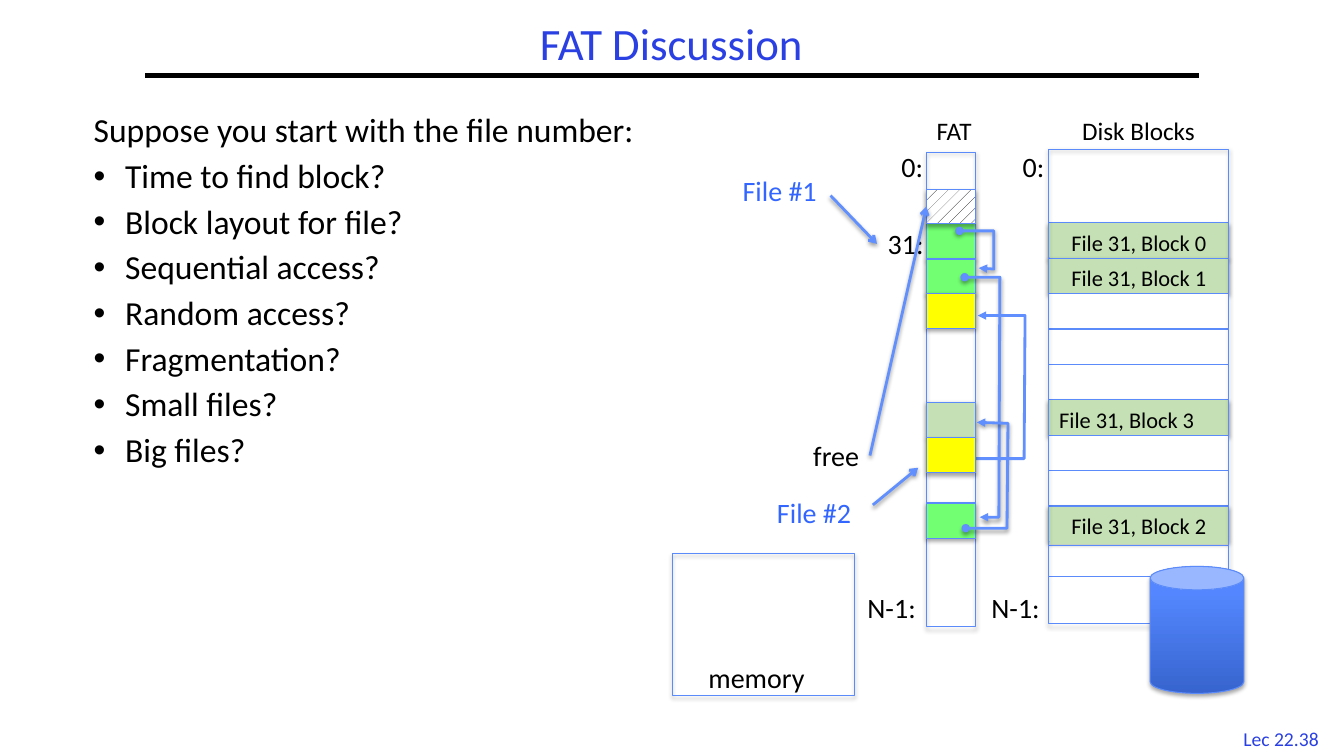
from dataclasses import dataclass
from typing import Optional

from lxml import etree
from pptx import Presentation
from pptx import util as u
from pptx.dml.color import RGBColor
from pptx.enum import dml, shapes, text
from pptx.oxml import ns

COLORS = {
    "black": "000000", "white": "FFFFFF", "title": "2A40E2", "file": "3366FF",
    "edge": "5B8AFB", "arrow": "618FFD", "block": "C5E0B4", "green": "72FF72",
    "yellow": "FFFF00", "can_dark": "3764CE", "can_light": "5487FF",
}
FONT = "Calibri"
MARGINS = {"margin_left": u.Pt(7.2), "margin_right": u.Pt(7.2),
           "margin_top": u.Pt(3.6), "margin_bottom": u.Pt(3.6)}
LEFT, CENTER = text.PP_ALIGN.LEFT, text.PP_ALIGN.CENTER
TOP, MIDDLE = text.MSO_ANCHOR.TOP, text.MSO_ANCHOR.MIDDLE
RECT = shapes.MSO_SHAPE.RECTANGLE

DISK_X, DISK_W = 748.8, 128.9
ROW_TOP, ROW_PITCH = 159.1, 25.3
FAT_X, FAT_W, CELL_H = 661.7, 35.3, 25.2


@dataclass
class Box:
    x: float
    y: float
    w: float
    h: float
    fill: Optional[str] = None
    edge: Optional[str] = "edge"
    shadow: bool = True


@dataclass
class Label:
    words: str
    x: float
    y: float
    w: float
    h: float
    size: float = 20
    color: str = "black"
    align: text.PP_ALIGN = CENTER
    wrap: bool = False
    anchor: text.MSO_ANCHOR = TOP


@dataclass
class Arrow:
    points: tuple
    head: Optional[str] = None
    tail: str = "triangle"
    shadow: bool = True


TITLE = Label("FAT Discussion", 103.7, 12.2, 751.7, 41.8, 32, "title", CENTER, True, MIDDLE)
QUESTIONS = [
    "Suppose you start with the file number:", "Time to find block?",
    "Block layout for file?", "Sequential access?", "Random access?",
    "Fragmentation?", "Small files?", "Big files?",
]
DISK_ROWS = ["File 31, Block 0", "File 31, Block 1", None, None, None,
             "File 31, Block 3", None, None, "File 31, Block 2"]
LABELS = [
    Label("Lec 22.38", 876.2, 515.5, 77.8, 23.8, 14, "title"),
    Label("Disk Blocks", 751.7, 78.5, 123.1, 28.8, 18),
    Label("FAT", 658.1, 78.5, 46.8, 28.8, 18),
    Label("0:", 635.8, 103, 31.7, 31.7),
    Label("0:", 721.4, 103, 33.8, 31.7),
    Label("N-1:", 610.6, 418.3, 52.6, 31.7),
    Label("N-1:", 698.4, 418.3, 54, 31.7),
    Label("31:", 625.7, 158.4, 42.5, 31.7),
    Label("memory", 496.8, 468, 87.1, 31.7),
    Label("free", 573.8, 309.6, 49, 31.7, align=LEFT),
    Label("File #1", 519.1, 120.2, 75.6, 31.7, color="file"),
    Label("File #2", 547.9, 350.6, 75.6, 31.7, color="file", align=LEFT),
]
FRAMES = [
    Box(DISK_X, 106.6, DISK_W, 339.1),
    Box(FAT_X, 108.7, FAT_W, 339.1),
    Box(480.2, 395.3, 130.3, 101.5),
]
CELLS = [(159.8, "green"), (185, "green"), (359.3, "green"), (287.3, "block")]
YELLOW_CELLS = [(312.5, "yellow"), (209.5, "yellow")]
POINTERS = [
    Arrow(((593.3, 139.7), (626.4, 174.2)), tail="arrow"),
    Arrow(((621.4, 325.4), (661.7, 147.6)), tail="arrow"),
    Arrow(((623.5, 360.7), (655.9, 334.1)), tail="arrow"),
]
CHAINS = [
    Arrow(((685.4, 164.9), (709.9, 164.9), (709.9, 192.2), (699.1, 191.5)), "oval"),
    Arrow(((689, 198), (714.2, 198), (713.5, 369.4), (699.8, 369.4)), "oval"),
    Arrow(((689.8, 377.3), (719.3, 377.3), (720, 302.4), (697.7, 301.7)), "oval"),
    Arrow(((688.3, 327.6), (731.5, 327.6), (732.2, 225.4), (698.4, 225.4)),
          "diamond", shadow=False),
]


def rgb(name: str) -> RGBColor:
    return RGBColor.from_string(COLORS[name])


def add_effects(shape, shadow: bool, opacity: int) -> None:
    """Give a shape or connector its soft shadow below, or none."""
    properties = shape._element.spPr
    effects = properties.find(ns.qn("a:effectLst"))
    if effects is None:
        effects = etree.SubElement(properties, ns.qn("a:effectLst"))
    if shadow:
        outer = etree.SubElement(effects, ns.qn("a:outerShdw"), blurRad=str(u.Pt(3.1)),
                                 dist=str(u.Pt(1.8)), dir="5400000", rotWithShape="0")
        color = etree.SubElement(outer, ns.qn("a:srgbClr"), val=COLORS["black"])
        etree.SubElement(color, ns.qn("a:alpha"), val=str(opacity * 1000))


def draw_box(slide, box: Box, preset=RECT):
    shape = slide.shapes.add_shape(preset, *map(u.Pt, (box.x, box.y, box.w, box.h)))
    if box.fill:
        shape.fill.solid()
        shape.fill.fore_color.rgb = rgb(box.fill)
    else:
        shape.fill.background()
    if box.edge:
        shape.line.color.rgb = rgb(box.edge)
        shape.line.width = u.Pt(0.75)
    else:
        shape.line.fill.background()
    shape.shadow.inherit = False
    add_effects(shape, box.shadow, 35)
    return shape


def write(shape, label: Label) -> None:
    frame = shape.text_frame
    layout = {**MARGINS, "word_wrap": label.wrap, "vertical_anchor": label.anchor}
    for key, value in layout.items():
        setattr(frame, key, value)
    for index, line in enumerate(label.words.split("\n")):
        paragraph = frame.add_paragraph() if index else frame.paragraphs[0]
        paragraph.alignment = label.align
        run = paragraph.add_run()
        run.text = line
        for key, value in {"name": FONT, "size": u.Pt(label.size)}.items():
            setattr(run.font, key, value)
        run.font.color.rgb = rgb(label.color)


def draw_label(slide, label: Label):
    shape = slide.shapes.add_textbox(*map(u.Pt, (label.x, label.y, label.w, label.h)))
    write(shape, label)
    return shape


def draw_arrow(slide, arrow: Arrow) -> None:
    """Draw two points as a connector, more as an open outline."""
    points = [(u.Pt(x), u.Pt(y)) for x, y in arrow.points]
    if len(points) == 2:
        shape = slide.shapes.add_connector(shapes.MSO_CONNECTOR.STRAIGHT, *points[0], *points[1])
    else:
        builder = slide.shapes.build_freeform(*points[0])
        builder.add_line_segments(points[1:], close=False)
        shape = builder.convert_to_shape()
        shape.fill.background()
    shape.line.color.rgb = rgb("arrow")
    shape.line.width = u.Pt(2)
    line = shape.line._get_or_add_ln()
    for tag, kind in (("a:headEnd", arrow.head), ("a:tailEnd", arrow.tail)):
        if kind:
            etree.SubElement(line, ns.qn(tag), type=kind)
    add_effects(shape, arrow.shadow, 38)


def draw_questions(slide) -> None:
    body = draw_label(slide, Label("\n".join(QUESTIONS), 59.8, 77.8, 429.8, 342.7,
                                   24, "black", LEFT, True))
    for index, paragraph in enumerate(body.text_frame.paragraphs):
        paragraph.line_spacing = 0.9
        if index:
            paragraph.space_before = u.Pt(6.7)
            properties = paragraph._p.get_or_add_pPr()
            properties.set("marL", str(u.Pt(22.5)))
            properties.set("indent", str(u.Pt(-22.5)))
            etree.SubElement(properties, ns.qn("a:buFont"), typeface="Arial")
            etree.SubElement(properties, ns.qn("a:buChar"), char="•")


def draw_disk_rows(slide) -> None:
    for index, words in enumerate(DISK_ROWS):
        y = ROW_TOP + index * ROW_PITCH
        if not words:
            draw_box(slide, Box(DISK_X, y, DISK_W, CELL_H, "white", shadow=False))
            continue
        draw_box(slide, Box(DISK_X, y, DISK_W, CELL_H, "block"))
        plate = Box(DISK_X + 0.7, y + 0.8, DISK_W - 0.9, 26.6, "block", None, False)
        align = LEFT if words.endswith("3") else CENTER
        write(draw_box(slide, plate),
              Label(words, plate.x, plate.y, plate.w, plate.h, 16, align=align, wrap=True))
    draw_box(slide, Box(DISK_X, 389.5, DISK_W, 22.3, shadow=False))


def draw_cells(slide, cells: list) -> None:
    for y, fill in cells:
        draw_box(slide, Box(FAT_X, y, FAT_W, CELL_H, fill))


def main() -> None:
    deck = Presentation()
    deck.slide_width, deck.slide_height = u.Pt(960), u.Pt(540)
    slide = deck.slides.add_slide(deck.slide_layouts[6])

    draw_label(slide, TITLE).text_frame.paragraphs[0].line_spacing = 0.9
    rule = slide.shapes.add_connector(shapes.MSO_CONNECTOR.STRAIGHT,
                                      *map(u.Pt, (103.7, 54, 856.1, 54)))
    rule.line.color.rgb = rgb("black")
    rule.line.width = u.Pt(3)
    add_effects(rule, False, 0)

    draw_questions(slide)
    draw_disk_rows(slide)
    for frame in FRAMES:
        draw_box(slide, frame)
    draw_cells(slide, CELLS)
    free_cell = draw_box(slide, Box(FAT_X, 135.4, FAT_W, 24.5))
    free_cell.fill.patterned()
    free_cell.fill.pattern = dml.MSO_PATTERN.PERCENT_10
    free_cell.fill.fore_color.rgb = rgb("black")
    free_cell.fill.back_color.rgb = rgb("white")
    for label in LABELS:
        draw_label(slide, label)
    for arrow in POINTERS + CHAINS:
        draw_arrow(slide, arrow)
    draw_cells(slide, YELLOW_CELLS)

    disk = draw_box(slide, Box(821.5, 404.6, 67, 90.7), shapes.MSO_SHAPE.CAN)
    disk.fill.gradient()
    disk.fill.gradient_angle = 90
    for stop, name, position in zip(disk.fill.gradient_stops, ("can_dark", "can_light"), (0, 0.8)):
        stop.color.rgb = rgb(name)
        stop.position = position
    deck.save("out.pptx")


if __name__ == "__main__":
    main()
